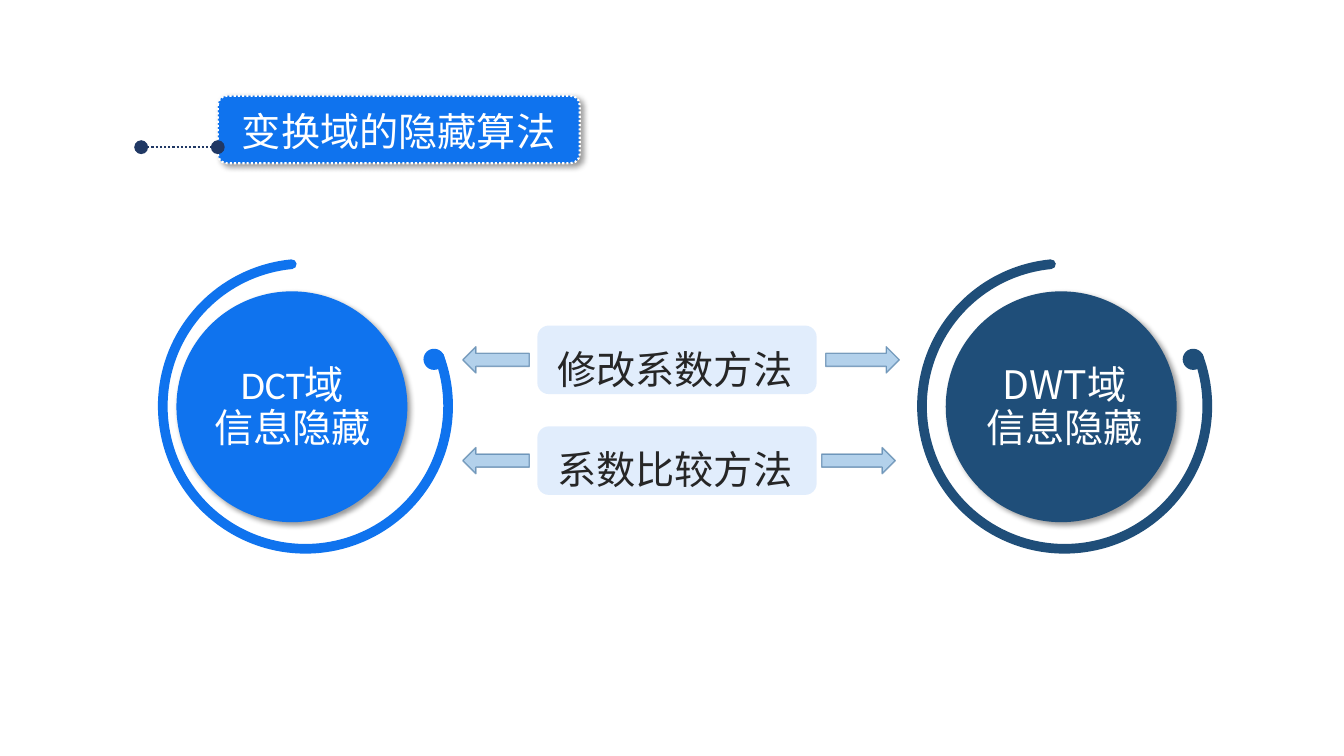
from math import cos, radians, sin, tan

from lxml.etree import SubElement
from pptx import Presentation
from pptx.dml.color import RGBColor
from pptx.enum.dml import MSO_LINE
from pptx.enum.shapes import MSO_CONNECTOR, MSO_SHAPE
from pptx.enum.text import MSO_ANCHOR, MSO_AUTO_SIZE, PP_ALIGN
from pptx.oxml.ns import qn
from pptx.util import Inches, Pt

BLUE = RGBColor(0x0F, 0x73, 0xEE)
DEEP = RGBColor(0x1F, 0x4E, 0x79)
NAVY = RGBColor(0x20, 0x38, 0x64)
ARROW_FILL = RGBColor(0x5B, 0x9B, 0xD5)
ARROW_LINE = RGBColor(0x43, 0x73, 0x9E)
INK = RGBColor(0x26, 0x26, 0x26)
WHITE = RGBColor(0xFF, 0xFF, 0xFF)
CJK = "Noto Sans CJK SC"

prs = Presentation()
prs.slide_width, prs.slide_height = Inches(13.33), Inches(7.5)
slide = prs.slides.add_slide(prs.slide_layouts[5])
shapes = slide.shapes
filled = []  # shape, colour, opacity in percent, casts a shadow
texts = []  # shape, lines, latin font, colour, alignment, line spacing, wraps


def arc_points(x, y, radius, start, stop, parts):
    """Bezier points of a circular arc, without its first point."""
    points, step = [], (stop - start) / parts
    pull = 4 / 3 * tan(radians(step / 4)) * radius
    for i in range(parts):
        a, b = radians(start + i * step), radians(start + (i + 1) * step)
        ax, ay = x + radius * cos(a), y + radius * sin(a)
        bx, by = x + radius * cos(b), y + radius * sin(b)
        points += [(ax - pull * sin(a), ay + pull * cos(a)),
                   (bx + pull * sin(b), by - pull * cos(b)), (bx, by)]
    return points


# Heading: pill, title and dotted lead line
pill = shapes.add_shape(MSO_SHAPE.ROUNDED_RECTANGLE,
                        Inches(2.16), Inches(0.95), Inches(3.59), Inches(0.67))
pill.adjustments[0] = 0.137
filled.append((pill, BLUE, 100, True))

title = shapes.title
title.left, title.top, title.width, title.height = map(Inches, (2.3, 1.01, 3.61, 0.57))
pill._element.addnext(title._element)
texts.append((title, ["变换域的隐藏算法"], CJK, WHITE, PP_ALIGN.LEFT, 1.0, True))

lead = shapes.add_connector(MSO_CONNECTOR.STRAIGHT,
                            Inches(1.4), Inches(1.46), Inches(2.16), Inches(1.46))
lead.line.color.rgb = NAVY
lead.line.width = Pt(1.5)
lead.line.dash_style = MSO_LINE.ROUND_DOT
for end in ("a:headEnd", "a:tailEnd"):
    SubElement(lead.line._ln, qn(end), type="oval", w="lg", len="lg")
SubElement(lead._element.spPr, qn("a:effectLst"))

# Two domains: disc, caption, open ring and ball
RADIUS, HALF, RING_Y = 1.415, 0.048, 4.03
START, STOP = -20.5, 264.5
domains = [
    ("DCT域", "Calibri", BLUE, 1.75, 1.94, 1.92, 3.03),
    ("DWT域", CJK, DEEP, 9.38, 9.66, 1.8, 10.56),
]
for name, font, color, disc_x, caption_x, caption_w, ring_x in domains:
    disc = shapes.add_shape(MSO_SHAPE.OVAL, Inches(disc_x), Inches(2.89),
                            Inches(2.29), Inches(2.29))
    filled.append((disc, color, 100, True))

    caption = shapes.add_textbox(Inches(caption_x), Inches(3.58),
                                 Inches(caption_w), Inches(0.91))
    texts.append((caption, [name, "信息隐藏"], font, WHITE, PP_ALIGN.CENTER, 0.9, True))

    # Outer arc, round cap, inner arc back, round cap
    tips = [(ring_x + RADIUS * cos(radians(a)), RING_Y + RADIUS * sin(radians(a)))
            for a in (START, STOP)]
    outline = (arc_points(ring_x, RING_Y, RADIUS + HALF, START, STOP, 4)
               + arc_points(*tips[1], HALF, STOP, STOP + 180, 2)
               + arc_points(ring_x, RING_Y, RADIUS - HALF, STOP, START, 4)
               + arc_points(*tips[0], HALF, START + 180, START + 360, 2))
    outline = [(Inches(x), Inches(y)) for x, y in outline]
    builder = shapes.build_freeform(*outline[-1])
    builder.add_line_segments(outline, close=True)
    ring = builder.convert_to_shape()
    filled.append((ring, color, 100, False))

    # Turn every three segments into one curve
    segments = list(ring._element.spPr.iter(qn("a:lnTo")))
    for i in range(0, len(segments), 3):
        curve = SubElement(segments[i].getparent(), qn("a:cubicBezTo"))
        segments[i].addprevious(curve)
        for segment in segments[i:i + 3]:
            curve.append(segment[0])
            segment.getparent().remove(segment)

    ball = shapes.add_shape(MSO_SHAPE.OVAL, Inches(ring_x + 1.17), Inches(3.46),
                            Inches(0.21), Inches(0.21))
    filled.append((ball, color, 100, False))

# Methods shared by both domains, with an arrow to each side
for row, (method, right_x) in enumerate([("修改系数方法", 8.19), ("系数比较方法", 8.15)]):
    label = shapes.add_shape(MSO_SHAPE.ROUNDED_RECTANGLE, Inches(5.33), Inches(3.23 + row),
                             Inches(2.77), Inches(0.68))
    filled.append((label, BLUE, 12, False))
    wording = shapes.add_textbox(Inches(5.43), Inches(3.14 + row), Inches(2.56), Inches(0.73))
    texts.append((wording, [method], CJK, INK, PP_ALIGN.LEFT, 1.5, False))

    for kind, x, width in [(MSO_SHAPE.LEFT_ARROW, 4.59, 0.66),
                           (MSO_SHAPE.RIGHT_ARROW, right_x, 0.73)]:
        arrow = shapes.add_shape(kind, Inches(x), Inches(3.44 + row),
                                 Inches(width), Inches(0.26))
        filled.append((arrow, ARROW_FILL, 46, False))
        arrow.line.color.rgb = ARROW_LINE
        arrow.line.width = Pt(1)
        line_color = arrow.line._ln.find(".//" + qn("a:srgbClr"))
        SubElement(line_color, qn("a:alpha"), val="61000")

# Fills, outlines and shadows
for shape, color, opacity, shadowed in filled:
    shape.fill.solid()
    shape.fill.fore_color.rgb = color
    shape.shadow.inherit = False
    props = shape._element.spPr
    if opacity < 100:
        fill_color = props.find(qn("a:solidFill")).find(qn("a:srgbClr"))
        SubElement(fill_color, qn("a:alpha"), val=str(opacity * 1000))
    if color != ARROW_FILL:
        shape.line.fill.background()
    if shadowed:
        shadow = SubElement(props.find(qn("a:effectLst")), qn("a:outerShdw"),
                            blurRad=str(Pt(4)), dist=str(Pt(3)), dir="2700000",
                            algn="tl", rotWithShape="0")
        shade = SubElement(shadow, qn("a:srgbClr"), val="000000")
        SubElement(shade, qn("a:alpha"), val="40000")

pill.line.color.rgb = WHITE
pill.line.width = Pt(1.5)
pill.line.dash_style = MSO_LINE.ROUND_DOT

# Wording
for shape, lines, font, color, align, spacing, wraps in texts:
    frame = shape.text_frame
    frame.text = "\n".join(lines)
    frame_format = {"word_wrap": wraps, "auto_size": MSO_AUTO_SIZE.NONE,
                    "vertical_anchor": MSO_ANCHOR.TOP}
    for key, value in frame_format.items():
        setattr(frame, key, value)
    for paragraph in frame.paragraphs:
        paragraph.alignment = align
        paragraph.line_spacing = spacing
        run = paragraph.runs[0]
        for key, value in {"name": font, "size": Pt(28)}.items():
            setattr(run.font, key, value)
        run.font.color.rgb = color
        run.font._element.find(qn("a:latin")).addnext(
            SubElement(run.font._element, qn("a:ea"), typeface=CJK))

prs.save("out.pptx")
